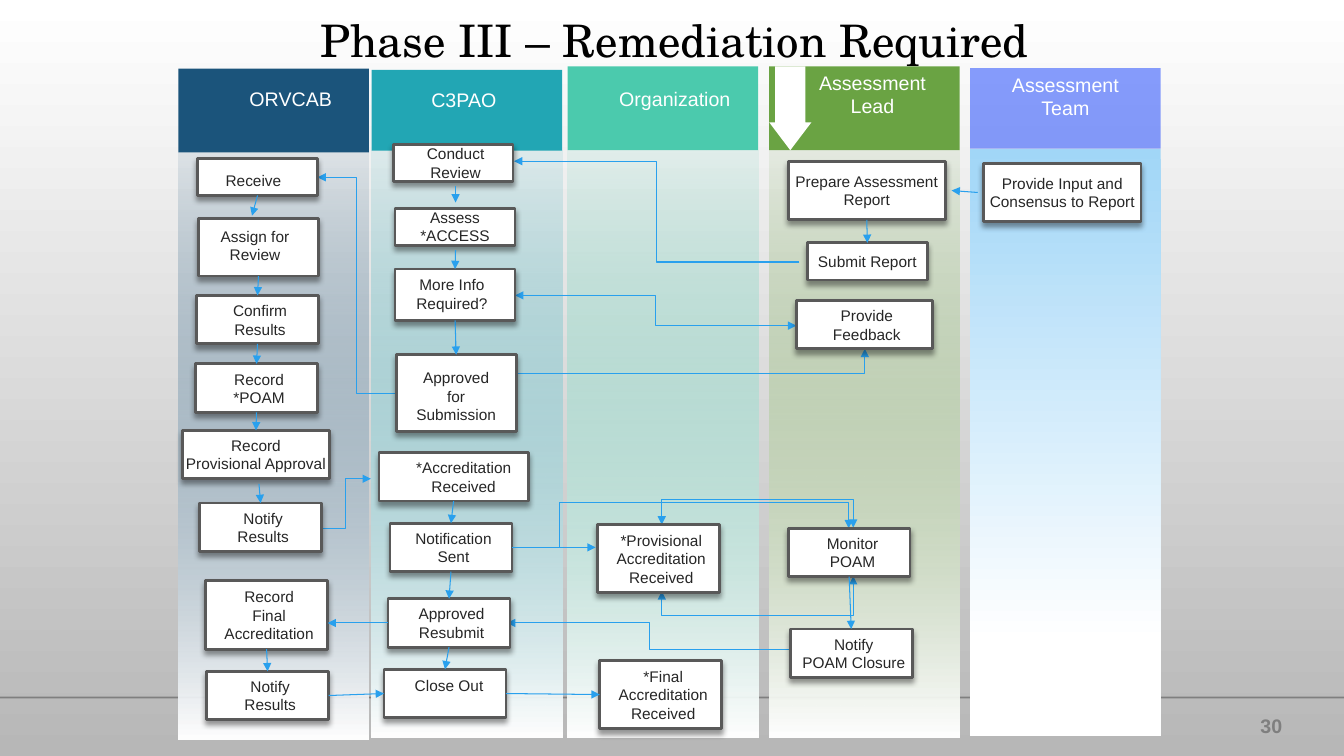
import pptx
import pptx.dml.color
import pptx.enum.shapes
import pptx.enum.text
import pptx.oxml.ns
import pptx.util
from lxml import etree

Pt = pptx.util.Pt
RGB = pptx.dml.color.RGBColor
KIND = pptx.enum.shapes.MSO_SHAPE
LINK = pptx.enum.shapes.MSO_CONNECTOR
ALIGN = pptx.enum.text.PP_ALIGN
MIDDLE = pptx.enum.text.MSO_ANCHOR.MIDDLE
qn = pptx.oxml.ns.qn

WHITE = RGB(0xFF, 0xFF, 0xFF)
BLACK = RGB(0, 0, 0)
SILVER = RGB(0xB7, 0xB7, 0xB7)
GREY = RGB(0x7F, 0x7F, 0x7F)
FRAME = RGB(0x59, 0x59, 0x59)
INK = RGB(0x26, 0x26, 0x26)
WIRE = RGB(0x29, 0xA0, 0xED)
NAVY = RGB(0x1B, 0x54, 0x7B)
TEAL = RGB(0x22, 0xA6, 0xB4)
MINT = RGB(0x4B, 0xCA, 0xAD)
GREEN = RGB(0x6A, 0xA3, 0x43)
BLUE = RGB(0x04, 0x32, 0xFF)
SKY = RGB(0xA1, 0xD6, 0xF7)

TITLE = {"name": "TeX Gyre Schola", "size": Pt(32), "bold": False}
NUMBER = {"name": "Arial", "size": Pt(14), "bold": True}
HEAD = {"name": "Arial", "size": Pt(14), "bold": False}
STEP = {"name": "Arial", "size": Pt(11), "bold": False}


def write(shape, text, font, color, dx=0, dy=0, align=ALIGN.CENTER):
    """Centre text in a shape, moved by dx and dy points through its margins."""
    frame = shape.text_frame
    layout = {
        "margin_left": Pt(max(2 * dx, 0)), "margin_right": Pt(max(-2 * dx, 0)),
        "margin_top": Pt(max(2 * dy, 0)), "margin_bottom": Pt(max(-2 * dy, 0)),
        "word_wrap": True, "vertical_anchor": MIDDLE, "text": text,
    }
    for key, value in layout.items():
        setattr(frame, key, value)
    for para in frame.paragraphs:
        para.alignment = align
        for run in para.runs:
            run.font.color.rgb = color
            for key, value in font.items():
                setattr(run.font, key, value)


def style(wire, both=False):
    """Give a connector its colour, width and arrowheads, and no shadow."""
    wire.line.color.rgb = WIRE
    wire.line.width = Pt(0.75)
    for end in ["a:headEnd", "a:tailEnd"] if both else ["a:tailEnd"]:
        etree.SubElement(wire.line._get_or_add_ln(), qn(end), type="triangle")
    etree.SubElement(wire._element.spPr, qn("a:effectLst"))


deck = pptx.Presentation()
deck.slide_width, deck.slide_height = Pt(960), Pt(540)
slide = deck.slides.add_slide(deck.slide_layouts[6])
shapes = slide.shapes

rule = shapes.add_shape(KIND.RECTANGLE, 0, Pt(497.5), Pt(960), Pt(1.4))
rule.fill.solid()
rule.fill.fore_color.rgb = GREY
rule.line.fill.background()
rule.shadow.inherit = False
number = shapes.add_textbox(Pt(873.4), Pt(504), Pt(42.5), Pt(28.8))
write(number, "30", NUMBER, GREY, align=ALIGN.RIGHT)

# Swim lanes: text, left, top, header height, text shift, header, body top, white stop
LANES = [
    ("ORVCAB", 127.4, 49, 59.8, 12.2, -8.6, NAVY, NAVY, 1),
    ("C3PAO", 265.5, 50, 57.6, -2.2, -7.6, TEAL, TEAL, 1),
    ("Organization", 405.4, 47.5, 59.8, 8.6, -6.8, MINT, MINT, 1),
    ("Assessment\nLead", 549.4, 47.5, 59.8, 5.8, -10, GREEN, GREEN, 1),
    ("Assessment\nTeam", 693, 48.6, 57.6, 0, -8.6, BLUE, SKY, 0.84),
]
fades = [(slide.background.fill, WHITE, SILVER, 1)]
sheer = []
for text, left, top, high, dx, dy, color, tint, stop in LANES:
    head = shapes.add_shape(KIND.RECTANGLE, Pt(left), Pt(top), Pt(136.1), Pt(high))
    body = shapes.add_shape(KIND.RECTANGLE, Pt(left), Pt(top + high), Pt(136.1), Pt(419.5))
    head.fill.solid()
    head.fill.fore_color.rgb = color
    write(head, text, HEAD, WHITE, dx, dy)
    for part in (head, body):
        part.line.fill.background()
        part.shadow.inherit = False
    fades.append((body.fill, tint, WHITE, stop))
    sheer.append((head, 47) if color == BLUE else (body, 10))

for fill, upper, lower, stop in fades:
    fill.gradient()
    fill.gradient_angle = 270
    fill.gradient_stops[0].color.rgb = upper
    fill.gradient_stops[1].color.rgb = lower
    fill.gradient_stops[1].position = stop
for shape, share in sheer:
    paint = next(shape._element.spPr.iter(qn("a:srgbClr")))
    etree.SubElement(paint, qn("a:alpha"), val=str(share * 1000))

arrow = shapes.add_shape(KIND.DOWN_ARROW, Pt(549.4), Pt(47.5), Pt(30.2), Pt(59.8))
arrow.adjustments[0], arrow.adjustments[1] = 0.72, 0.66
arrow.fill.solid()
arrow.fill.fore_color.rgb = WHITE
arrow.line.fill.background()
arrow.shadow.inherit = False

title = shapes.add_textbox(Pt(135.4), Pt(5), Pt(693.4), Pt(51.8))
write(title, "Phase III – Remediation Required", TITLE, BLACK)
title.text_frame.paragraphs[0].line_spacing = 0.9

# Elbows: ends before turning, turn in degrees, bend ratios, arrow at both ends
ELBOWS = [
    (571, 187.2, 367.2, 115.2, 0, [0.5], False),
    (481.7, 92.9, 461.5, 385.2, 270, [1.88], False),
    (283, 280.8, 226.8, 126.7, 0, [0.5], False),
    (228.2, 377.3, 265, 342, 0, [0.5], False),
    (365.8, 391, 606.2, 377.3, 0, [0.14, 2.34], False),
    (367.9, 211, 568.8, 232.6, 0, [0.5], True),
    (535.7, 348.5, 546.5, 485.3, 90, [2.62], True),
    (542.2, 307.4, 540, 444.2, 270, [-8.18], True),
    (565.9, 463.7, 362.2, 445, 0, [0.5], False),
]
for x1, y1, x2, y2, turn, bends, both in ELBOWS:
    wire = shapes.add_connector(LINK.ELBOW, Pt(x1), Pt(y1), Pt(x2), Pt(y2))
    style(wire, both)
    props = wire._element.spPr
    props.find(qn("a:xfrm")).set("rot", str(turn * 60000))
    shape = props.find(qn("a:prstGeom"))
    shape.set("prst", f"bentConnector{len(bends) + 2}")
    guides = shape.find(qn("a:avLst"))
    for place, bend in enumerate(bends, 1):
        etree.SubElement(guides, qn("a:gd"), name=f"adj{place}",
                         fmla=f"val {round(bend * 100000)}")

# Steps: left, top, width, height, text shift, text
STEPS = {
    "receive": (141.1, 113, 85.7, 26.6, -2.9, 2.2, "Receive"),
    "assign": (141.8, 156.2, 85.7, 41, -2.5, -1.4, "Assign for\nReview"),
    "confirm": (140.4, 211, 87.1, 34.6, 1.8, 0, "Confirm\nResults"),
    "record": (139.7, 259.9, 87.1, 34.6, 1.8, 0, "Record\n*POAM"),
    "approve": (130.3, 307.4, 105.1, 34.6, 0, 0, "Record\nProvisional Approval"),
    "notify": (142.6, 359.3, 87.1, 34.6, 1.8, 0, "Notify\nResults"),
    "final": (146.9, 414.7, 87.1, 49, 1.8, 0, "Record\nFinal\nAccreditation"),
    "tell": (147.6, 479.5, 87.1, 34.6, 1.8, 0, "Notify\nResults"),
    "conduct": (280.8, 103, 85.7, 26.6, 1.8, 0, "Conduct\nReview"),
    "assess": (282.2, 149, 85.7, 26.6, 0, -0.7, "Assess\v*ACCESS"),
    "more": (282.2, 192.2, 85.7, 36.7, -2.2, -0.7, "More Info\nRequired?"),
    "submission": (283, 253.4, 85.7, 54.7, 0, 2.2, "Approved\vfor\vSubmission"),
    "accredit": (270.7, 323.3, 106.6, 34.6, 7.2, 0, "*Accreditation\nReceived"),
    "sent": (278.6, 373.7, 87.1, 34.6, 1.8, 0, "Notification\nSent"),
    "resubmit": (277.2, 427.7, 87.1, 34.6, 1.8, 0, "Approved\nResubmit"),
    "close": (274.3, 478.1, 87.1, 34.6, 2.9, -6.1, "Close Out"),
    "interim": (427, 374.4, 87.1, 49, 1.8, 0, "*Provisional\vAccreditation\nReceived"),
    "last": (428.4, 471.6, 87.1, 49, 1.8, 0, "*Final\vAccreditation\nReceived"),
    "prepare": (563, 115.2, 112.3, 41.8, 0, 0, "Prepare Assessment\nReport"),
    "submit": (576.7, 173.5, 85.7, 26.6, 0, 0, "Submit Report"),
    "feedback": (568.8, 214.6, 97.2, 34.6, 1.8, 0, "Provide\nFeedback"),
    "monitor": (563, 377.3, 87.1, 34.6, 2.5, 0, "Monitor\nPOAM"),
    "closure": (564.5, 449.3, 87.1, 34.6, 1.8, 0, "Notify\nPOAM Closure"),
    "input": (702.7, 116.6, 112.3, 41.8, 0, 0, "Provide Input and\vConsensus to Report"),
}
boxes = {}
for name, (left, top, wide, high, dx, dy, text) in STEPS.items():
    box = shapes.add_shape(KIND.RECTANGLE, Pt(left), Pt(top), Pt(wide), Pt(high))
    box.fill.solid()
    box.fill.fore_color.rgb = WHITE
    box.line.color.rgb = FRAME
    box.line.width = Pt(2)
    box.shadow.inherit = False
    glow = etree.SubElement(box._element.spPr.find(qn("a:effectLst")), qn("a:outerShdw"),
                            blurRad=str(Pt(4)), dist=str(Pt(3)), dir="5400000")
    shade = etree.SubElement(glow, qn("a:srgbClr"), val=str(BLACK))
    etree.SubElement(shade, qn("a:alpha"), val="40000")
    write(box, text, STEP, INK, dx, dy)
    boxes[name] = box

# Straight arrows: each end is a step with its side, or a point
ARROWS = [
    (("receive", 2), (180, 154.1)), (("assign", 2), ("confirm", 0)),
    (("confirm", 2), ("record", 0)), (("record", 2), ("approve", 0)),
    ((185, 345.6), ("notify", 0)), (("final", 2), ("tell", 0)),
    (("tell", 3), ("close", 1)), ((325.4, 133.2), (325.4, 144.7)),
    ((325.4, 178.6), ("more", 0)), (("more", 2), ("submission", 0)),
    (("accredit", 2), ("sent", 0)), (("sent", 2), ("resubmit", 0)),
    (("resubmit", 2), ("close", 0)), (("resubmit", 1), (234, 445)),
    (("sent", 3), (425.5, 391)), (("close", 3), ("last", 1)),
    (("prepare", 2), ("submit", 0)), (("monitor", 2), ("closure", 0)),
    ((698.4, 137.5), (679.7, 136.1)),
]
for start, stop in ARROWS:
    spots = [(0, 0) if end[0] in boxes else end for end in (start, stop)]
    wire = shapes.add_connector(LINK.STRAIGHT, *[Pt(v) for spot in spots for v in spot])
    for end, join in ((start, wire.begin_connect), (stop, wire.end_connect)):
        if end[0] in boxes:
            join(boxes[end[0]], end[1])
    style(wire)

deck.save("out.pptx")
